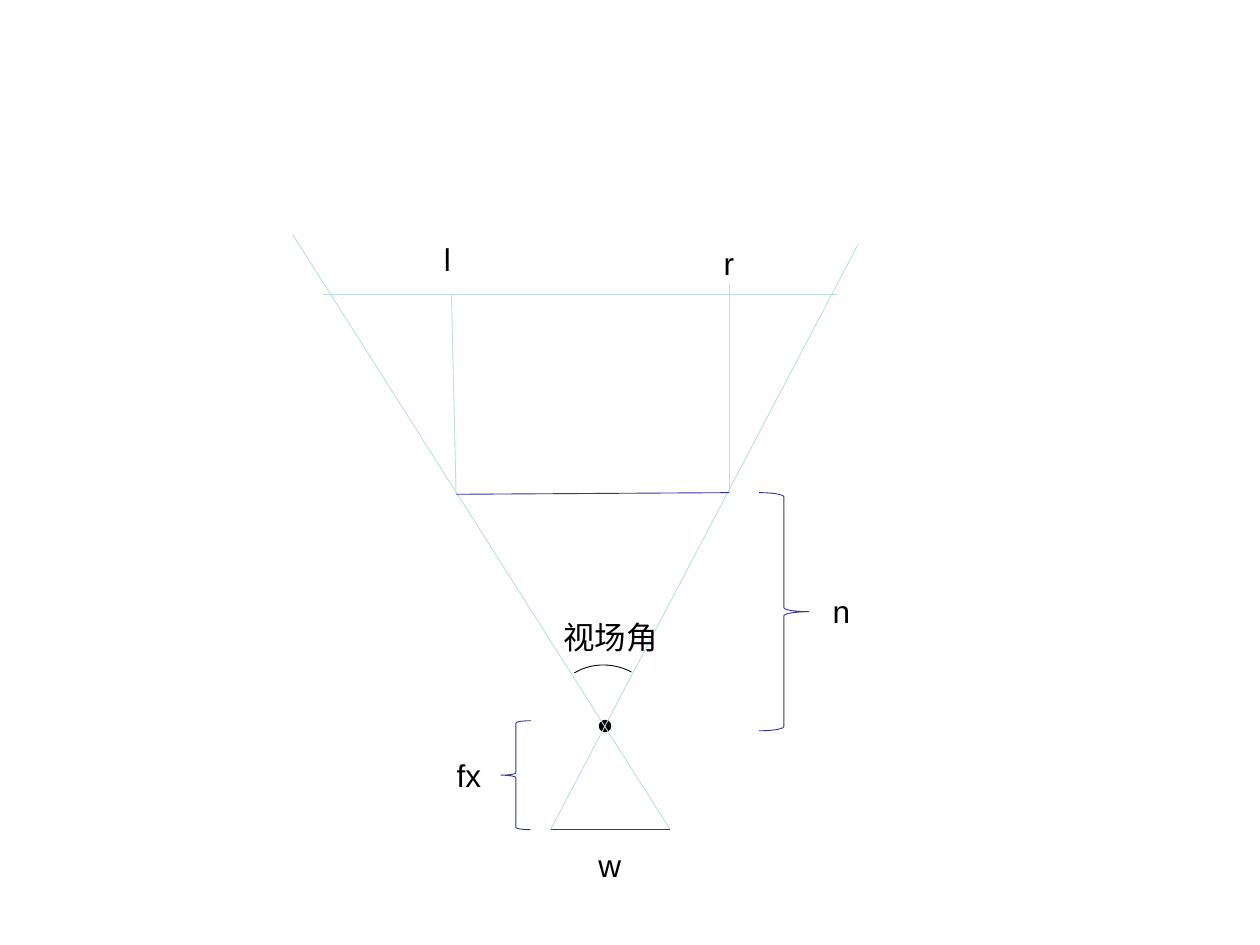
import pptx
import pptx.util
import pptx.dml.color
import pptx.enum.shapes
import pptx.enum.text
import pptx.oxml.ns
import lxml.etree

RGB = pptx.dml.color.RGBColor
KIND = pptx.enum.shapes.MSO_SHAPE
BLACK = RGB(0x00, 0x00, 0x00)
TEAL = RGB(0xBB, 0xE0, 0xE3)
BLUE = RGB(0x33, 0x33, 0x99)

# Grid of 100 columns and 75 rows
CELL = 0.1
COLS, ROWS = 100, 75
THIN = 0.5

# Levels and corners shared by several parts
FAR = 23.34
BASE = 65.85
LEFT, RIGHT = 43.7, 53.2
NEAR_L = (36.2, 39.23)
NEAR_R = (57.9, 39.1)

# Adjustment units (60000 / 100000) in one degree
DEGREE = 0.6


def grid(*cells):
    return [pptx.util.Inches(n * CELL) for n in cells]


def line(slide, start, end, color):
    straight = pptx.enum.shapes.MSO_CONNECTOR.STRAIGHT
    item = slide.shapes.add_connector(straight, *grid(*start, *end))
    item.line.color.rgb = color
    item.line.width = pptx.util.Pt(THIN)
    tag = pptx.oxml.ns.qn("a:effectLst")
    lxml.etree.SubElement(item._element.spPr, tag)


def shape(slide, kind, box, color, width=THIN, fill=None):
    item = slide.shapes.add_shape(kind, *grid(*box))
    item.shadow.inherit = False
    if fill is None:
        item.fill.background()
    else:
        item.fill.solid()
        item.fill.fore_color.rgb = fill
    item.line.color.rgb = color
    item.line.width = pptx.util.Pt(width)
    return item


def label(slide, text, left, top, width, wrap=False):
    box = slide.shapes.add_textbox(*grid(left, top, width, 4))
    frame = box.text_frame
    frame.word_wrap = wrap
    frame.auto_size = pptx.enum.text.MSO_AUTO_SIZE.SHAPE_TO_FIT_TEXT
    run = frame.paragraphs[0].add_run()
    run.text = text
    run.font.name = "Arial"
    run.font.size = pptx.util.Pt(18)
    run.font.color.rgb = BLACK


def main():
    deck = pptx.Presentation()
    deck.slide_width, deck.slide_height = grid(COLS, ROWS)
    slide = deck.slides.add_slide(deck.slide_layouts[6])

    # Camera point and the two rays through it
    shape(slide, KIND.OVAL, (47.6, 57.2, 0.85, 0.85), BLACK, 1, BLACK)
    line(slide, (23.24, 18.63), (RIGHT, BASE), TEAL)
    line(slide, (68.1, 19.4), (LEFT, BASE), TEAL)

    # Near plane with its distance, and image plane
    line(slide, NEAR_L, NEAR_R, BLUE)
    shape(slide, KIND.RIGHT_BRACE, (60.24, 39.1, 3.94, 18.9), BLUE)
    line(slide, (LEFT, BASE), (RIGHT, BASE), BLUE)

    # Far line and the bounds of the near plane
    line(slide, (66.46, FAR), (25.6, FAR), TEAL)
    line(slide, NEAR_L, (35.83, FAR), TEAL)
    line(slide, (57.9, 22.5), NEAR_R, TEAL)

    # Focal length and angle of view
    shape(slide, KIND.LEFT_BRACE, (39.76, 57.2, 2.36, 8.65), BLUE)
    arc = shape(slide, KIND.ARC, (43.5, 52.7, 9.1, 9.4), BLACK)
    arc.rotation = 315
    arc.adjustments[0] = 283.5 * DEGREE
    arc.adjustments[1] = 342 * DEGREE

    # Labels
    label(slide, "n", 65.1, 46.5, 3.4)
    label(slide, "l", 34.25, 18.55, 3.8, wrap=True)
    label(slide, "r", 56.45, 18.9, 2.8)
    label(slide, "fx", 35.25, 59.55, 4)
    label(slide, "w", 46.5, 66.65, 3.8)
    label(slide, "视场角", 43.7, 48.55, 9.5)

    deck.save("out.pptx")


if __name__ == "__main__":
    main()
